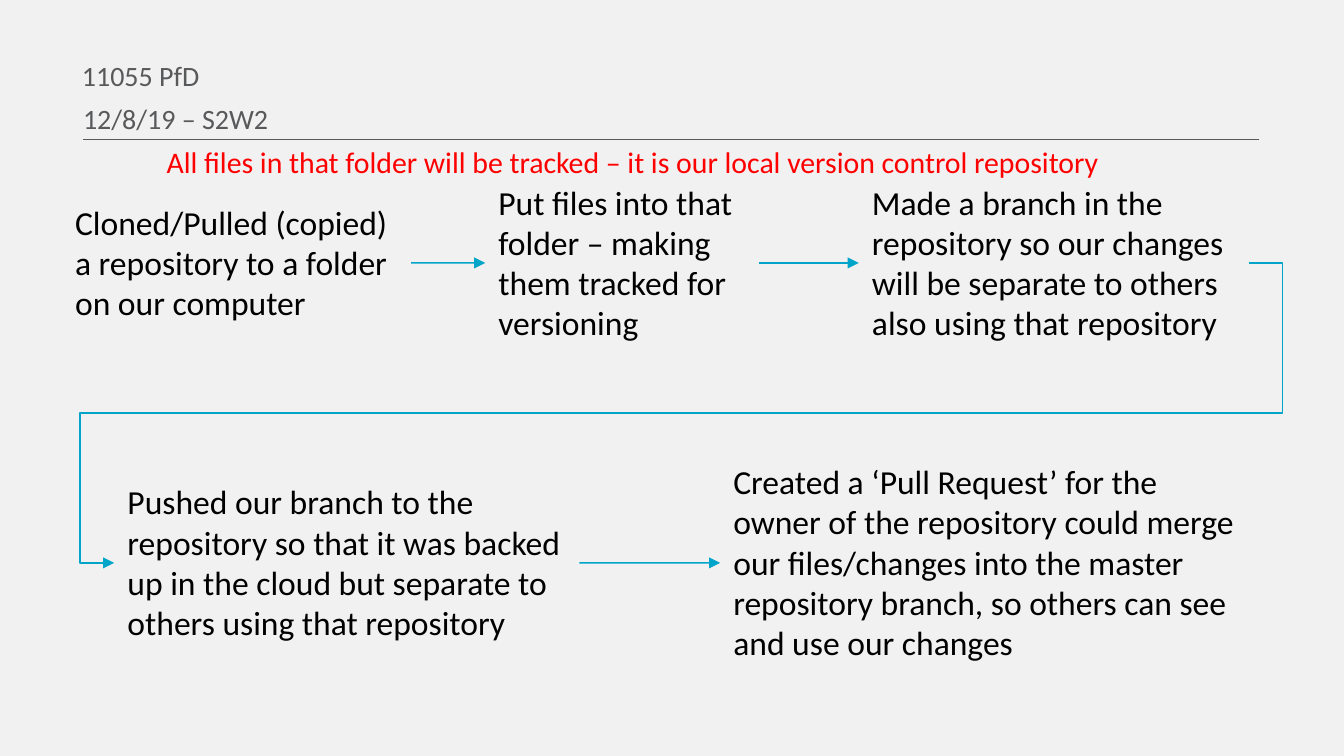
from dataclasses import dataclass
from itertools import pairwise

from lxml.etree import SubElement
from pptx import Presentation
from pptx.dml.color import RGBColor
from pptx.enum.shapes import MSO_CONNECTOR as Link
from pptx.oxml.ns import qn
from pptx.shapes.autoshape import Shape
from pptx.shapes.connector import Connector
from pptx.slide import Slide
from pptx.util import Cm, Pt


@dataclass(frozen=True)
class Theme:
    """Colours, font and sizes of the slide."""
    font: str = "Calibri"
    background: str = "F1F1F1"
    heading: str = "58595B"
    body: str = "000000"
    accent: str = "FF0000"
    arrow: str = "00A5C9"
    heading_size: float = 15
    body_size: float = 18
    accent_size: float = 16
    line_width: float = 0.75


@dataclass(frozen=True)
class Label:
    """A text with its place in centimetres."""
    text: str
    left: float
    top: float
    width: float
    height: float
    size: float
    color: str


@dataclass(frozen=True)
class Step:
    """A workflow step, centred vertically on its row."""
    text: str
    left: float
    width: float
    row: float
    lines: int


THEME = Theme()
UPPER_ROW, LOWER_ROW = 4.97, 10.64
LINE_HEIGHT, PADDING = 0.77, 0.25
DETOUR = 0.65

HEADINGS = [
    Label("11055 PfD", 1.3, 0.99, 17.73, 0.64, THEME.heading_size, THEME.heading),
    Label("12/8/19 – S2W2", 1.32, 1.8, 17.7, 0.58, THEME.heading_size, THEME.heading),
]
TRACKING_NOTE = Label(
    "All files in that folder will be tracked – it is our local version control repository",
    2.9, 2.59, 20.57, 0.94, THEME.accent_size, THEME.accent)
UPPER_STEPS = [
    Step("Cloned/Pulled (copied) a repository to a folder on our computer",
         1.17, 6.6, UPPER_ROW, 3),
    Step("Put files into that folder – making them tracked for versioning",
         9.17, 5.18, UPPER_ROW, 4),
    Step("Made a branch in the repository so our changes will be separate to others "
         "also using that repository", 16.23, 7.37, UPPER_ROW, 4),
]
LOWER_STEPS = [
    Step("Pushed our branch to the repository so that it was backed up in the cloud "
         "but separate to others using that repository", 2.16, 8.79, LOWER_ROW, 4),
    Step("Created a ‘Pull Request’ for the owner of the repository could merge our "
         "files/changes into the master repository branch, so others can see and use "
         "our changes", 13.61, 10.01, LOWER_ROW, 5),
]


def add_label(slide: Slide, label: Label) -> Shape:
    """Add a wrapped text box."""
    box = slide.shapes.add_textbox(
        Cm(label.left), Cm(label.top), Cm(label.width), Cm(label.height))
    box.text_frame.word_wrap = True
    run = box.text_frame.paragraphs[0].add_run()
    run.text = label.text
    run.font.name = THEME.font
    run.font.size = Pt(label.size)
    run.font.color.rgb = RGBColor.from_string(label.color)
    return box


def add_step(slide: Slide, step: Step) -> Shape:
    """Add a step whose height follows its number of lines."""
    height = PADDING + LINE_HEIGHT * step.lines
    return add_label(slide, Label(step.text, step.left, step.row - height / 2,
                                  step.width, height, THEME.body_size, THEME.body))


def style_line(line: Connector, color: str, arrow: bool = True) -> None:
    """Give a connector its colour, width and optional arrowhead."""
    line.line.color.rgb = RGBColor.from_string(color)
    line.line.width = Pt(THEME.line_width)
    properties = line.element.spPr
    if arrow:
        SubElement(properties.find(qn("a:ln")), qn("a:tailEnd"), type="triangle")
    SubElement(properties, qn("a:effectLst"))


def add_arrow(slide: Slide, source: Shape, target: Shape) -> None:
    """Join the right side of one step to the left side of the next."""
    arrow = slide.shapes.add_connector(Link.STRAIGHT, 0, 0, 0, 0)
    arrow.begin_connect(source, 3)
    arrow.end_connect(target, 1)
    style_line(arrow, THEME.arrow)


def add_return_arrow(slide: Slide, source: Step, target: Step) -> None:
    """Lead from the end of one row round to the start of the next."""
    start = source.left + source.width
    arrow = slide.shapes.add_connector(
        Link.ELBOW, Cm(start), Cm(source.row), Cm(target.left), Cm(target.row))
    overshoot = round(100000 * DETOUR / (start - target.left))
    geometry = arrow.element.spPr.find(qn("a:prstGeom"))
    geometry.set("prst", "bentConnector5")
    guides = geometry.find(qn("a:avLst"))
    for number, value in enumerate((-overshoot, 50000, 100000 + overshoot), 1):
        SubElement(guides, qn("a:gd"), name=f"adj{number}", fmla=f"val {value}")
    style_line(arrow, THEME.arrow)


def main() -> None:
    """Build and save the slide."""
    deck = Presentation()
    deck.slide_width, deck.slide_height = Cm(25.4), Cm(14.29)
    slide = deck.slides.add_slide(deck.slide_layouts[6])
    slide.background.fill.solid()
    slide.background.fill.fore_color.rgb = RGBColor.from_string(THEME.background)

    divider = slide.shapes.add_connector(
        Link.STRAIGHT, Cm(23.8), Cm(2.64), Cm(1.57), Cm(2.64))
    style_line(divider, THEME.heading, arrow=False)
    for heading in HEADINGS:
        add_label(slide, heading)
    for row in (UPPER_STEPS, LOWER_STEPS):
        for source, target in pairwise([add_step(slide, step) for step in row]):
            add_arrow(slide, source, target)
    add_return_arrow(slide, UPPER_STEPS[-1], LOWER_STEPS[0])
    add_label(slide, TRACKING_NOTE)
    deck.save("out.pptx")


if __name__ == "__main__":
    main()
